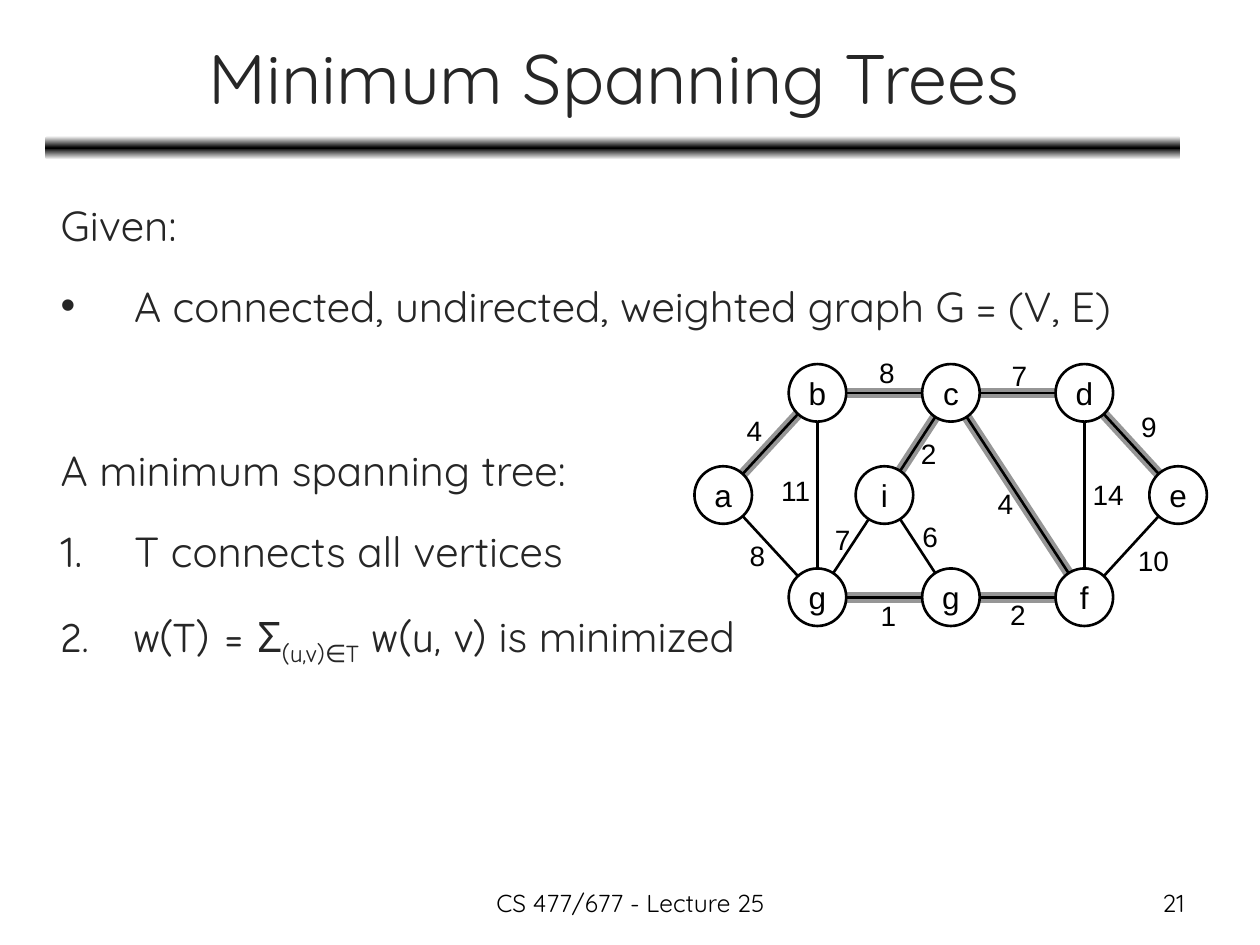
from copy import deepcopy
from math import hypot

from lxml import etree
from pptx import Presentation
from pptx.dml.color import RGBColor
from pptx.enum.shapes import MSO_CONNECTOR, MSO_SHAPE
from pptx.enum.text import MSO_ANCHOR, MSO_AUTO_SIZE, PP_ALIGN
from pptx.oxml.ns import qn
from pptx.util import Cm, Pt

LINE = MSO_CONNECTOR.STRAIGHT
OVAL, ROUND = MSO_SHAPE.OVAL, MSO_SHAPE.ROUNDED_RECTANGLE
TOP, MIDDLE = MSO_ANCHOR.TOP, MSO_ANCHOR.MIDDLE
LEFT, CENTER, RIGHT = PP_ALIGN.LEFT, PP_ALIGN.CENTER, PP_ALIGN.RIGHT
FIXED = MSO_AUTO_SIZE.NONE
SANS, HAND, PLAIN = "Quicksand", "Comic Neue", "Arial"
INK, BLACK, GRAY, WHITE = "262626", "000000", "969696", "FFFFFF"
RADIUS = 0.58


def color(text):
    return RGBColor.from_string(text)


class Board:
    """Holds the style and the current slide, and draws on it."""

    def __init__(self, slide):
        self.slide = slide
        self.shapes = slide.shapes

    def style(self, run, size, font, tint):
        run.font.size = Pt(size)
        run.font.name = font
        run.font.color.rgb = color(tint)

    def letter(self, shape, text, size, font, tint, align, anchor=TOP, wrap=True):
        frame = shape.text_frame
        frame.text = text
        frame.word_wrap = wrap
        frame.auto_size = FIXED
        frame.vertical_anchor = anchor
        part = frame.paragraphs[0]
        part.alignment = align
        self.style(part.runs[0], size, font, tint)

    def place(self, shape, box):
        shape.left, shape.top, shape.width, shape.height = map(Cm, box)

    def title(self, box, text):
        shape = self.shapes.title
        self.place(shape, box)
        self.letter(shape, text, 40, SANS, INK, CENTER, MIDDLE)

    def body(self, box, items):
        shape = self.slide.placeholders[1]
        self.place(shape, box)
        frame = shape.text_frame
        frame.auto_size = FIXED
        frame.vertical_anchor = TOP
        for index, (mark, gap, runs) in enumerate(items):
            part = frame.add_paragraph() if index else frame.paragraphs[0]
            part.alignment = LEFT
            part.line_spacing = 1.5
            part.space_before = Pt(gap)
            for text, font, base in runs:
                run = part.add_run()
                run.text = text
                self.style(run, 24, font, INK)
                if base:
                    run.font._element.set("baseline", str(base * 1000))
            self.bullet(part, mark)

    def bullet(self, part, mark):
        props = part._p.get_or_add_pPr()
        props.set("marL", str(Cm(1.48)))
        props.set("indent", str(Cm(-1.48)))
        if mark == "1.":
            etree.SubElement(props, qn("a:buFont"), typeface="+mj-lt")
            etree.SubElement(props, qn("a:buAutoNum"), type="arabicPeriod")
        elif mark:
            etree.SubElement(props, qn("a:buFont"), typeface=PLAIN)
            etree.SubElement(props, qn("a:buChar"), char=mark)
        else:
            etree.SubElement(props, qn("a:buNone"))

    def bar(self, box):
        shape = self.shapes.add_shape(ROUND, *map(Cm, box))
        shape.shadow.inherit = False
        shape.line.fill.background()
        shape.fill.gradient()
        shape.fill.gradient_angle = 90
        stops = shape._element.spPr.find(qn("a:gradFill")).find(qn("a:gsLst"))
        stops.append(deepcopy(stops[0]))
        tints = zip(shape.fill.gradient_stops, (0, 0.5, 1), (WHITE, BLACK, WHITE))
        for stop, spot, tint in tints:
            stop.position = spot
            stop.color.rgb = color(tint)

    def node(self, x, y, text):
        box = (x - RADIUS, y - RADIUS, 2 * RADIUS, 2 * RADIUS)
        shape = self.shapes.add_shape(OVAL, *map(Cm, box))
        shape.shadow.inherit = False
        shape.fill.background()
        shape.line.color.rgb = color(BLACK)
        shape.line.width = Pt(1.5)
        self.letter(shape, text, 18, PLAIN, BLACK, CENTER, MIDDLE, False)

    def edge(self, start, end, tint, width):
        (x1, y1), (x2, y2) = start, end
        size = hypot(x2 - x1, y2 - y1)
        dx, dy = RADIUS * (x2 - x1) / size, RADIUS * (y2 - y1) / size
        ends = (x1 + dx, y1 + dy, x2 - dx, y2 - dy)
        line = self.shapes.add_connector(LINE, *map(Cm, ends))
        line.line.color.rgb = color(tint)
        line.line.width = Pt(width)
        etree.SubElement(line._element.spPr, qn("a:effectLst"))

    def label(self, x, y, text):
        wide = 0.48 + 0.33 * len(text)
        box = (x - wide / 2, y - 0.47, wide, 0.94)
        shape = self.shapes.add_textbox(*map(Cm, box))
        self.letter(shape, text, 16, PLAIN, BLACK, CENTER, MIDDLE, False)

    def note(self, box, text, align):
        shape = self.shapes.add_textbox(*map(Cm, box))
        self.letter(shape, text, 14, SANS, BLACK, align)


COLS = [16.48 + 2.69 * step for step in range(3)]
ROWS = [7.92 + 2.06 * step for step in range(3)]
NODES = {
    "a": (14.58, ROWS[1]), "e": (23.75, ROWS[1]), "i": (17.83, ROWS[1]),
    **{name: (x, ROWS[0]) for name, x in zip("bcd", COLS)},
    **{name: (x, ROWS[2]) for name, x in zip("ghf", COLS)},
}
NAMES = {"h": "g"}
TREE = {"ab", "bc", "cd", "gh", "hf", "ci", "cf", "de"}
EDGES = {
    "ab": ("4", 15.21, 8.67), "bc": ("8", 17.88, 7.51),
    "cd": ("7", 20.55, 7.56), "ag": ("8", 15.27, 11.19),
    "bg": ("11", 16.04, 9.89), "gh": ("1", 17.91, 12.41),
    "hf": ("2", 20.52, 12.38), "ig": ("7", 16.99, 10.88),
    "ci": ("2", 18.72, 9.13), "cf": ("4", 20.27, 10.15),
    "df": ("14", 22.34, 9.97), "de": ("9", 23.16, 8.6),
    "ef": ("10", 23.25, 11.29), "ih": ("6", 18.75, 10.81),
}
ITEMS = [
    ("", 3, [("Given:", SANS, 0)]),
    ("•", 3, [("A connected, undirected, weighted graph G = (V, E)", SANS, 0)]),
    ("", 51, [("A minimum spanning tree:", SANS, 0)]),
    ("1.", 3, [("T connects all vertices", SANS, 0)]),
    ("1.", 3, [("w(T) = Σ", HAND, 0), ("(u,v)∈T", HAND, -25),
               (" w(u, v)", HAND, 0), (" is minimized", SANS, 0)]),
]

deck = Presentation()
deck.slide_width, deck.slide_height = Cm(25.4), Cm(19.05)
board = Board(deck.slides.add_slide(deck.slide_layouts[1]))
board.bar((0.91, 2.74, 22.89, 0.48))
board.title((0.94, 0.28, 22.86, 2.51), "Minimum Spanning Trees")
board.body((0.97, 3.38, 23.85, 15.14), ITEMS)
for pair in EDGES:
    if pair in TREE:
        board.edge(NODES[pair[0]], NODES[pair[1]], GRAY, 6)
for name, spot in NODES.items():
    board.node(*spot, NAMES.get(name, name))
for pair in EDGES:
    board.edge(NODES[pair[0]], NODES[pair[1]], BLACK, 1.5)
for weight, x, y in EDGES.values():
    board.label(x, y, weight)
board.note((8.69, 17.78, 8.05, 0.89), "CS 477/677 - Lecture 25", CENTER)
board.note((18.21, 17.78, 5.92, 0.89), "21", RIGHT)
deck.save("out.pptx")
